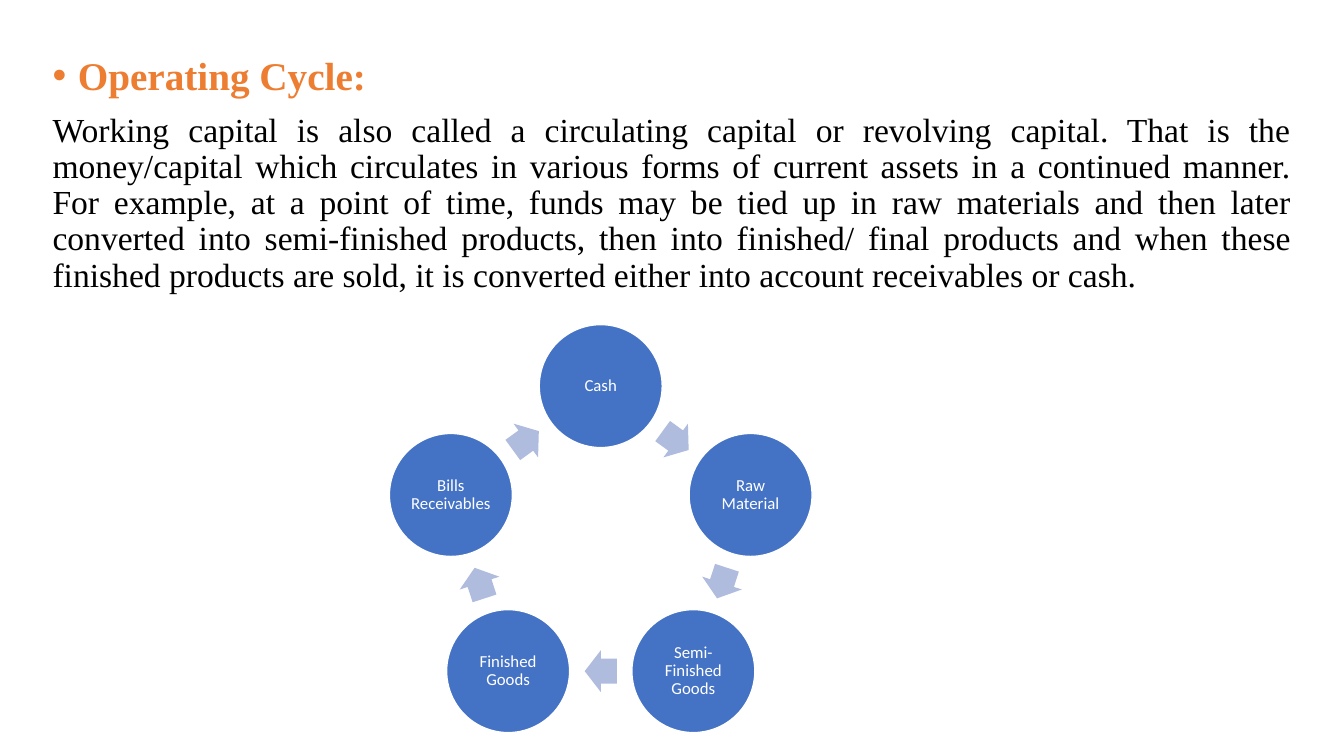
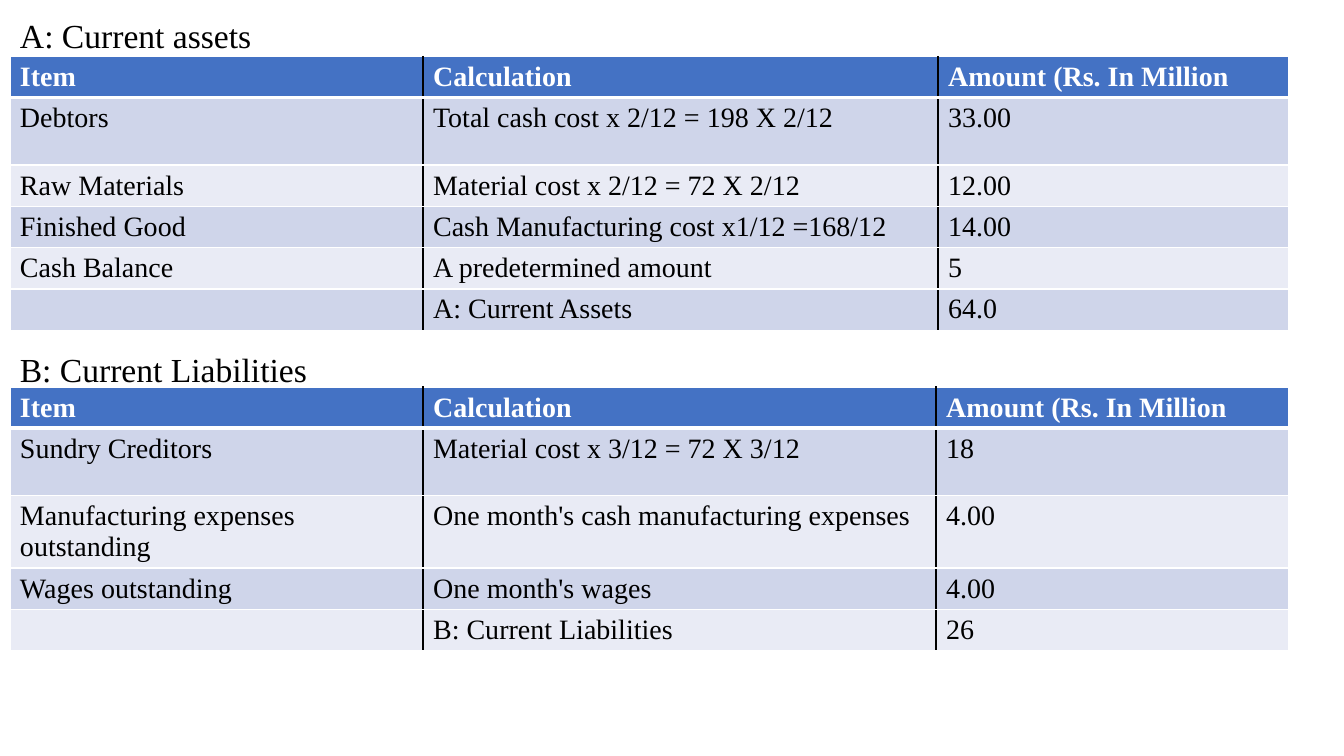
import math

from lxml import etree
from pptx import Presentation
from pptx.dml import color
from pptx.enum import shapes, text
from pptx.oxml import ns
from pptx.util import Cm, Pt

SERIF, SANS = "Times New Roman", "Calibri"
ORANGE, BLUE, PALE_BLUE = "ED7D31", "4472C4", "B0BCDE"
BLACK, WHITE = "000000", "FFFFFF"
BANDS = ("CFD5EA", "E9EBF5")

HEADING = {"size": Pt(28), "name": SERIF, "bold": True, "color": ORANGE}
BODY = {"size": Pt(24), "name": SERIF, "bold": False, "color": BLACK}
STAGE = {"size": Pt(12), "name": SANS, "color": WHITE}
CELL = {"size": Pt(20), "name": SERIF, "bold": False, "color": BLACK}
HEADER_CELL = {**CELL, "bold": True, "color": WHITE}

STAGES = ["Cash", "Raw Material", "Semi- Finished Goods", "Finished Goods", "Bills Receivables"]
CENTRE_X, CENTRE_Y, RADIUS = 15.14, 13.7, 3.97
CIRCLE, ARROW_W, ARROW_H = 3.1, 0.81, 1.05

CYCLE_TEXT = (
    "Working capital is also called a circulating capital or revolving capital. "
    "That is the money/capital which circulates in various forms of current assets "
    "in a continued manner. For example, at a point of time, funds may be tied up in "
    "raw materials and then later converted into semi-finished products, then into "
    "finished/ final products and when these finished products are sold, it is "
    "converted either into account receivables or cash."
)

HEADERS = ("Item", "Calculation", "Amount (Rs. In Million")
ASSETS = [
    HEADERS,
    ("Debtors", "Total cash cost x 2/12 = 198 X 2/12", "33.00"),
    ("Raw Materials", "Material cost x 2/12 = 72 X 2/12", "12.00"),
    ("Finished Good", "Cash Manufacturing cost x1/12 =168/12", "14.00"),
    ("Cash Balance", "A predetermined amount", "5"),
    ("", "A: Current Assets", "64.0"),
]
LIABILITIES = [
    HEADERS,
    ("Sundry Creditors", "Material cost x 3/12 = 72 X 3/12", "18"),
    ("Manufacturing expenses outstanding", "One month's cash manufacturing expenses", "4.00"),
    ("Wages outstanding", "One month's wages", "4.00"),
    ("", "B: Current Liabilities", "26"),
]
ROW, FIRST_ROW, TWO_LINES = 1.04, 1.7, 1.82


def rgb(value):
    return color.RGBColor.from_string(value)


def paint(part, value):
    part.fill.solid()
    part.fill.fore_color.rgb = rgb(value)


def write(paragraph, words, style):
    run = paragraph.add_run()
    run.text = words
    for key, value in style.items():
        if key == "color":
            run.font.color.rgb = rgb(value)
        else:
            setattr(run.font, key, value)


def add_body(slide, place, paragraphs):
    title = slide.shapes.title.element
    title.getparent().remove(title)
    body = slide.placeholders[1]
    for key, value in zip(("left", "top", "width", "height"), place):
        setattr(body, key, Cm(value))
    frame = body.text_frame
    frame.auto_size = text.MSO_AUTO_SIZE.NONE
    for index, (words, style, align, bulleted) in enumerate(paragraphs):
        paragraph = frame.add_paragraph() if index else frame.paragraphs[0]
        write(paragraph, words, style)
        layout = {"alignment": align, "line_spacing": 0.9, "space_before": Pt(10)}
        for key, value in layout.items():
            setattr(paragraph, key, value)
        properties = paragraph._p.get_or_add_pPr()
        indent = Cm(0.64) if bulleted else 0
        properties.set("marL", str(indent))
        properties.set("indent", str(-indent))
        if not bulleted:
            etree.SubElement(properties, ns.qn("a:buNone"))


def add_centred(slide, kind, x, y, width, height, fill):
    shape = slide.shapes.add_shape(
        kind, Cm(x - width / 2), Cm(y - height / 2), Cm(width), Cm(height))
    shape.shadow.inherit = False
    paint(shape, fill)
    return shape


def add_stage(slide, x, y, words):
    circle = add_centred(slide, shapes.MSO_SHAPE.OVAL, x, y, CIRCLE, CIRCLE, BLUE)
    circle.line.color.rgb = rgb(WHITE)
    circle.line.width = Pt(1)
    frame = circle.text_frame
    for side in ("left", "top", "right", "bottom"):
        setattr(frame, f"margin_{side}", Cm(0.05))
    frame.word_wrap = True
    frame.vertical_anchor = text.MSO_ANCHOR.MIDDLE
    paragraph = frame.paragraphs[0]
    paragraph.alignment = text.PP_ALIGN.CENTER
    paragraph.line_spacing = 0.9
    write(paragraph, words, STAGE)


def add_arrow(slide, x, y, angle):
    arrow = add_centred(slide, shapes.MSO_SHAPE.RIGHT_ARROW, x, y, ARROW_W, ARROW_H, PALE_BLUE)
    arrow.line.fill.background()
    arrow.adjustments[0] = 0.6
    arrow.adjustments[1] = 0.5
    arrow.rotation = angle


def add_cycle(slide, stages):
    step = 360 / len(stages)
    half = step / 2

    def point(degrees, radius):
        turn = math.radians(degrees)
        return CENTRE_X + radius * math.sin(turn), CENTRE_Y - radius * math.cos(turn)

    for index, words in enumerate(stages):
        angle = index * step
        add_stage(slide, *point(angle, RADIUS), words)
        midway = point(angle + half, RADIUS * math.cos(math.radians(half)))
        add_arrow(slide, *midway, angle + half)


def add_border(cell, side, value, points):
    line = etree.SubElement(
        cell._tc.get_or_add_tcPr(), ns.qn(f"a:ln{side}"), w=str(Pt(points)))
    fill = etree.SubElement(line, ns.qn("a:solidFill"))
    etree.SubElement(fill, ns.qn("a:srgbClr"), val=value)


def add_ledger(slide, top, widths, heights, rows):
    ledger = slide.shapes.add_table(
        len(rows), len(widths), Cm(0.25), Cm(top), Cm(sum(widths)), Cm(sum(heights))).table
    for column, width in zip(ledger.columns, widths):
        column.width = Cm(width)
    last = len(widths) - 1
    for r, (entries, height) in enumerate(zip(rows, heights)):
        ledger.rows[r].height = Cm(height)
        for c, words in enumerate(entries):
            cell = ledger.cell(r, c)
            add_border(cell, "L", BLACK if c else WHITE, 1)
            add_border(cell, "R", BLACK if c < last else WHITE, 1)
            add_border(cell, "T", WHITE, 3 if r == 1 else 1)
            add_border(cell, "B", WHITE, 1 if r else 3)
            paint(cell, BANDS[(r - 1) % 2] if r else BLUE)
            if words:
                write(cell.text_frame.paragraphs[0], words, CELL if r else HEADER_CELL)


def add_caption(slide, left, top, width, height, words):
    frame = slide.shapes.add_textbox(Cm(left), Cm(top), Cm(width), Cm(height)).text_frame
    frame.word_wrap = True
    write(frame.paragraphs[0], words, BODY)


def main():
    deck = Presentation()
    deck.slide_width, deck.slide_height = Cm(33.87), Cm(19.05)
    content = deck.slide_layouts[1]
    left, justified = text.PP_ALIGN.LEFT, text.PP_ALIGN.JUSTIFY

    cycle = deck.slides.add_slide(content)
    add_body(cycle, (1.07, 1.3, 31.72, 16.81), [
        ("Operating Cycle:", HEADING, left, True),
        (CYCLE_TEXT, BODY, justified, False),
    ])
    add_cycle(cycle, STAGES)

    capital = deck.slides.add_slide(content)
    add_body(capital, (0.25, 0.36, 32.23, 17.63), [("A: Current assets", BODY, left, False)])
    add_ledger(capital, 1.42, (10.41, 12.98, 8.84), (ROW, FIRST_ROW, ROW, ROW, ROW, ROW), ASSETS)
    add_ledger(capital, 9.75, (10.41, 12.93, 8.89), (ROW, FIRST_ROW, TWO_LINES, ROW, ROW), LIABILITIES)
    add_caption(capital, 0.25, 8.66, 7.82, 2.06, "B: Current Liabilities")

    deck.save("out.pptx")


if __name__ == "__main__":
    main()
